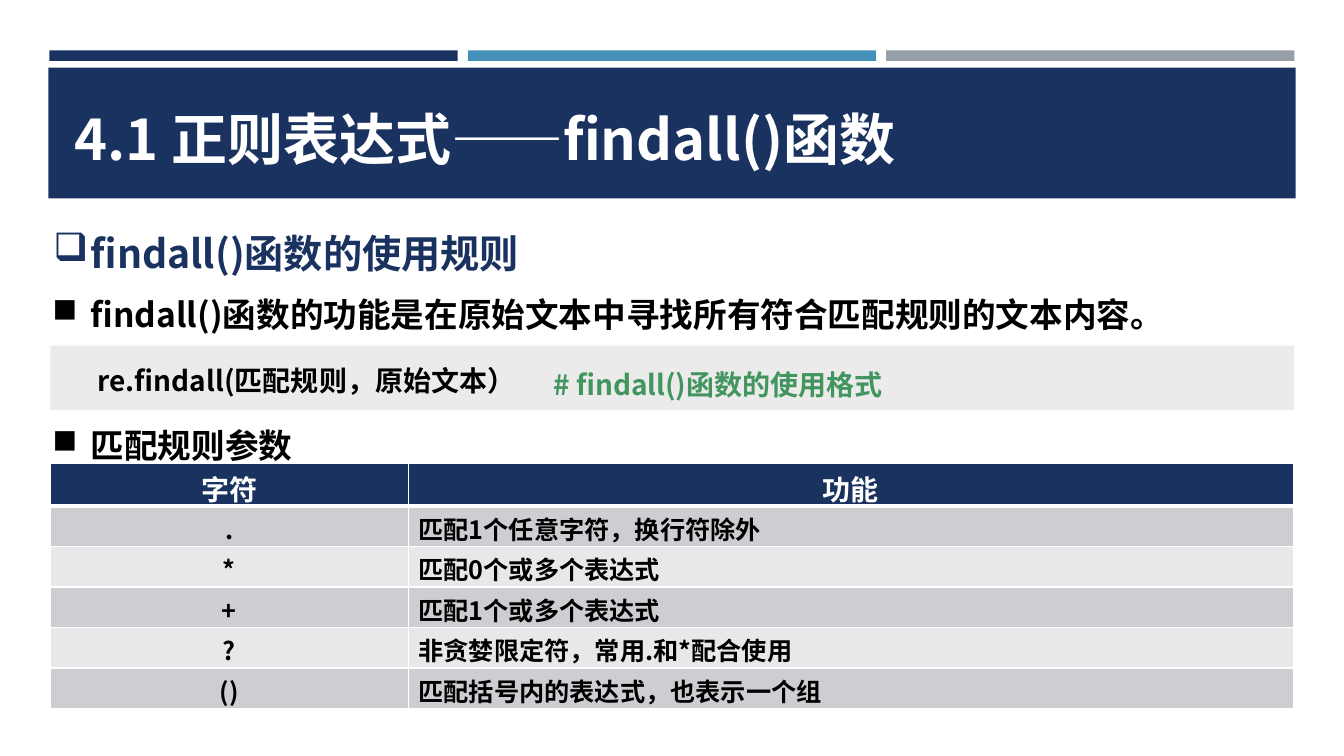
from lxml.etree import SubElement
from pptx import Presentation
from pptx.dml.color import RGBColor
from pptx.enum.shapes import MSO_SHAPE
from pptx.enum.text import PP_ALIGN
from pptx.oxml.ns import qn
from pptx.util import Emu, Inches, Pt

FONT = "Noto Sans CJK SC"
NAVY = RGBColor(0x1A, 0x32, 0x60)
BLUE = RGBColor(0x45, 0x90, 0xB8)
STEEL = RGBColor(0x96, 0x9F, 0xA7)
GREEN = RGBColor(0x42, 0x95, 0x5F)
PALE = RGBColor(0xEB, 0xEB, 0xEB)
BAND_DARK = RGBColor(0xCD, 0xCE, 0xD2)
BAND_LIGHT = RGBColor(0xE8, 0xE8, 0xEA)
WHITE = RGBColor(0xFF, 0xFF, 0xFF)
BLACK = RGBColor(0, 0, 0)

RULES = [
    ("字符", "功能"),
    (".", "匹配1个任意字符，换行符除外"),
    ("*", "匹配0个或多个表达式"),
    ("+", "匹配1个或多个表达式"),
    ("?", "非贪婪限定符，常用.和*配合使用"),
    ("()", "匹配括号内的表达式，也表示一个组"),
]


def write(frame, text, size=20, color=BLACK, align=None, spacing=None, after=None, bullet=None, indent=0.38):
    para = frame.paragraphs[0]
    if align is not None:
        para.alignment = align
    if spacing is not None:
        para.line_spacing = spacing
    if after is not None:
        para.space_after = after
    if bullet:
        properties = para._p.get_or_add_pPr()
        properties.set("marL", str(Inches(indent)))
        properties.set("indent", str(-Inches(indent)))
        SubElement(properties, qn("a:buChar"), char=bullet)
    span = para.add_run()
    span.text = text
    span.font.name, span.font.size, span.font.bold = FONT, Pt(size), True
    span.font.color.rgb = color
    SubElement(span._r.get_or_add_rPr(), qn("a:ea"), typeface=FONT)


class Page:
    """A slide measured on a grid of 100 columns and 100 rows."""

    def __init__(self, deck):
        self.slide = deck.slides.add_slide(deck.slide_layouts[6])
        self.column, self.row = deck.slide_width / 100, deck.slide_height / 100

    def place(self, left, top, width, height):
        return (Emu(round(left * self.column)), Emu(round(top * self.row)),
                Emu(round(width * self.column)), Emu(round(height * self.row)))

    def block(self, area, color):
        shape = self.slide.shapes.add_shape(MSO_SHAPE.RECTANGLE, *self.place(*area))
        shape.shadow.inherit = False
        shape.fill.solid()
        shape.fill.fore_color.rgb = color
        shape.line.fill.background()

    def text(self, area, text, **style):
        box = self.slide.shapes.add_textbox(*self.place(*area))
        box.text_frame.word_wrap = True
        write(box.text_frame, text, **style)

    def cell(self, cell, text, fill, bottom, **style):
        cell.margin_top, cell.margin_bottom = Inches(0.04), 0
        properties = cell._tc.get_or_add_tcPr()
        for side, width in (("L", 1), ("R", 1), ("T", 1), ("B", bottom)):
            line = SubElement(properties, qn(f"a:ln{side}"), w=str(Pt(width)))
            SubElement(SubElement(line, qn("a:solidFill")), qn("a:srgbClr"), val=str(WHITE))
        cell.fill.solid()
        cell.fill.fore_color.rgb = fill
        write(cell.text_frame, text, **style)

    def table(self, area, rows, widths, header_height, row_height):
        grid = self.slide.shapes.add_table(len(rows), len(widths), *self.place(*area)).table
        for column, width in zip(grid.columns, widths):
            column.width = Emu(round(width * self.column))
        for number, words in enumerate(rows):
            header = number == 0
            height = header_height if header else row_height
            grid.rows[number].height = Emu(round(height * self.row))
            fill = NAVY if header else BAND_DARK if number % 2 else BAND_LIGHT
            for index, word in enumerate(words):
                centred = header or index == 0
                self.cell(grid.cell(number, index), word, fill, 3 if header else 1,
                          size=20 if header else 18, color=WHITE if header else BLACK,
                          align=PP_ALIGN.CENTER if centred else PP_ALIGN.LEFT)


def main():
    deck = Presentation()
    deck.slide_width, deck.slide_height = Inches(13.33), Inches(7.5)
    page = Page(deck)

    for index, color in enumerate((NAVY, BLUE, STEEL)):
        page.block((3.68 + 31.13 * index, 6.67, 30.38, 1.4), color)
    page.block((3.6, 8.93, 92.8, 17.33), NAVY)
    page.text((4.8, 13.2, 95.2, 10.27), "4.1 正则表达式——findall()函数", size=40, color=WHITE)

    page.text((3.23, 26.53, 93, 9.6), "findall()函数的使用规则", size=28, color=NAVY,
              spacing=1.5, after=Pt(12), bullet="❑", indent=0.37)
    points = (35.6, "findall()函数的功能是在原始文本中寻找所有符合匹配规则的文本内容。"), (52.93, "匹配规则参数")
    for top, point in points:
        page.text((3.15, top, 93.7, 8.53), point, size=24, align=PP_ALIGN.JUSTIFY, spacing=1.5, bullet="■")

    page.table((3.75, 61.33, 92.5, 32.4), RULES, (26.63, 65.87), 5.6, 5.36)

    page.block((3.75, 45.73, 92.55, 8.53), PALE)
    page.text((6.53, 46.27, 58.43, 6.4), "re.findall(匹配规则，原始文本）", spacing=Pt(30))
    page.text((40.43, 46.8, 28.88, 6.4), "# findall()函数的使用格式", color=GREEN, spacing=Pt(30))

    deck.save("out.pptx")


if __name__ == "__main__":
    main()
